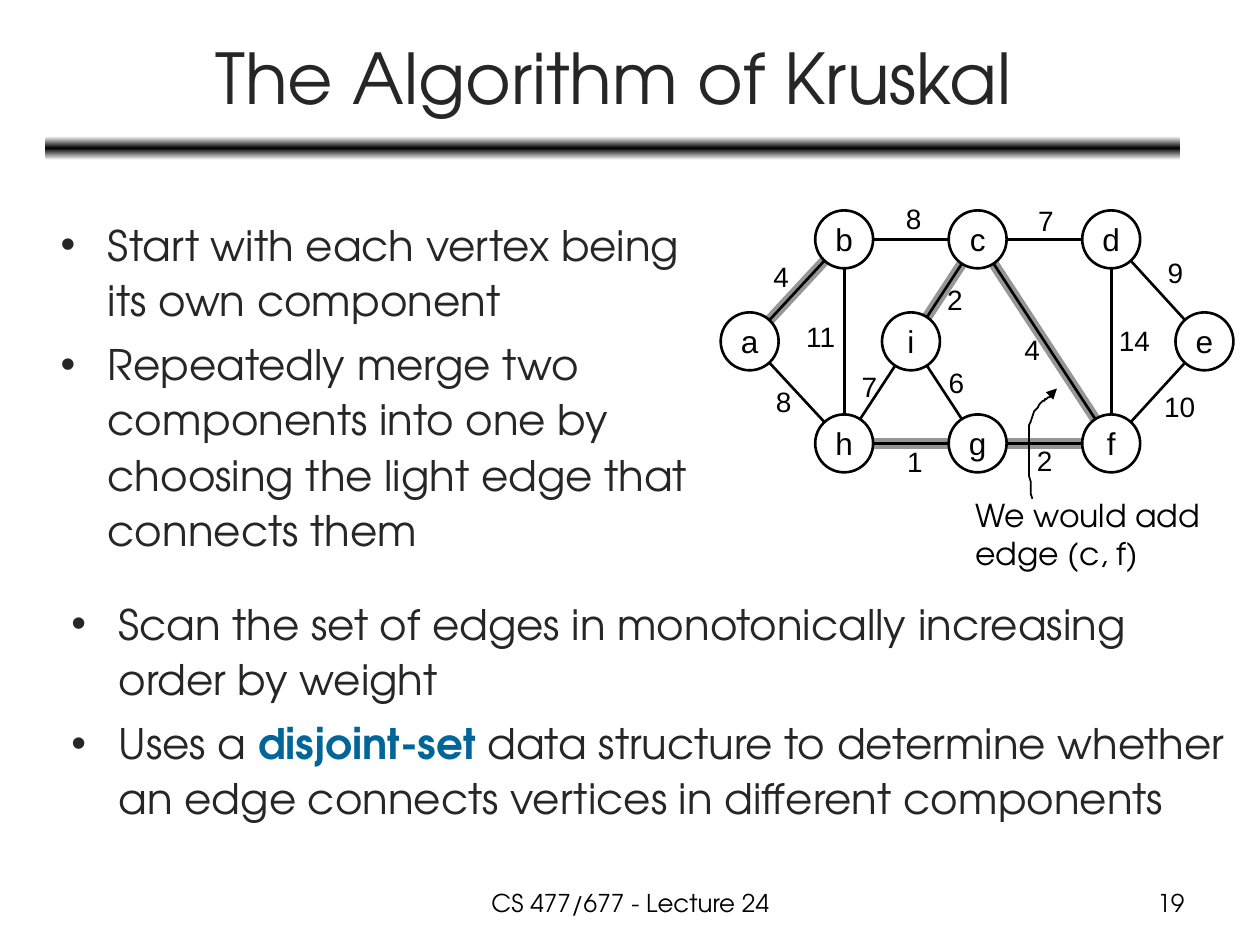
from copy import deepcopy
from math import hypot

from lxml.etree import SubElement as Sub
from pptx import Presentation
from pptx.dml.color import RGBColor
from pptx.enum.shapes import MSO_CONNECTOR as Conn, MSO_SHAPE as Kind
from pptx.enum.text import MSO_ANCHOR as Anchor, MSO_AUTO_SIZE as Auto, PP_ALIGN as Align
from pptx.oxml.ns import qn
from pptx.util import Pt

BLACK = RGBColor(0, 0, 0)
WHITE = RGBColor(255, 255, 255)
DARK = RGBColor(0x26, 0x26, 0x26)
GREY = RGBColor(0x96, 0x96, 0x96)
BLUE = RGBColor(0, 0x66, 0x99)
SANS, ROUND = "Arial", "TeX Gyre Adventor"

RAD = 16.56
TOP, MID, LOW = 136.8, 195.1, 253.4
NODES = {
    "a": (428.4, MID), "b": (482.4, TOP), "c": (558.7, TOP),
    "d": (635, TOP), "e": (688.3, MID), "h": (482.4, LOW),
    "g": (558.7, LOW), "f": (635, LOW), "i": (520.6, MID),
}
EDGES = [
    ("ab", "4", 434.9, 144.7), ("bc", "8", 510.5, 111.6),
    ("cd", "7", 586.1, 113), ("ah", "8", 436.3, 216),
    ("bh", "11", 453.6, 179.3), ("hg", "1", 511.2, 250.6),
    ("gf", "2", 585.4, 249.8), ("hi", "7", 485.3, 207.4),
    ("ci", "2", 534.2, 157.7), ("cf", "4", 578.2, 186.5),
    ("df", "14", 632.2, 181.4), ("de", "9", 660.2, 142.6),
    ("ef", "10", 658.1, 218.9), ("ig", "6", 535, 205.2),
]
LIGHT = ("cf", "ab", "hg", "gf", "ci")
START = (589.7, 285.1)
CURVES = [
    ((589, 277.9), (588.2, 271.4), (587.5, 264.2)),
    ((587.5, 259.2), (587.5, 254.2), (587.5, 248.4)),
    ((588.2, 241.9), (591.1, 233.3), (596.2, 229)),
    ((597.6, 228.2), (598.3, 227.5), (599.8, 226.8)),
    ((601.9, 224.6), (600.5, 225.4), (603.4, 224.6)),
    ((603.4, 223.9), (604.1, 222.5), (604.1, 222.5)),
]
LEFT = [
    [("Start with each vertex being its own component", {})],
    [("Repeatedly merge two components into one by choosing "
      "the light edge that connects them", {})],
]
WIDE = [
    [("Scan the set of edges in monotonically increasing order by weight", {})],
    [("Uses a ", {}), ("disjoint-set ", {"bold": True, "color": BLUE}),
     ("data structure to determine whether an edge connects vertices "
      "in different components", {})],
]


def apply(obj, vals):
    """Set each attribute of an object from a dict."""
    for key, val in vals.items():
        setattr(obj, key, val)


def place(shape, x, y, w, h):
    """Move and size a shape."""
    apply(shape, {"left": Pt(x), "top": Pt(y), "width": Pt(w), "height": Pt(h)})


def add_run(para, text, size, face, color=BLACK, bold=False):
    """Add a formatted run to a paragraph."""
    run = para.add_run()
    run.text = text
    apply(run.font, {"size": Pt(size), "name": face, "bold": bold})
    run.font.color.rgb = color


def write(shape, lines, size, face, color=BLACK, align=Align.LEFT,
          wrap=True, anchor=Anchor.TOP):
    """Fill a shape with plain lines of text."""
    frame = shape.text_frame
    apply(frame, {"auto_size": Auto.NONE, "word_wrap": wrap, "vertical_anchor": anchor})
    for num, line in enumerate(lines):
        para = frame.add_paragraph() if num else frame.paragraphs[0]
        para.alignment = align
        add_run(para, line, size, face, color)


def label(slide, lines, box, size, face, **style):
    """Add a text box."""
    pts = [Pt(val) for val in box]
    write(slide.shapes.add_textbox(*pts), lines, size, face, **style)


def bullets(shape, items):
    """Fill a shape with a bulleted list."""
    frame = shape.text_frame
    apply(frame, {"auto_size": Auto.NONE, "word_wrap": True})
    for num, runs in enumerate(items):
        para = frame.add_paragraph() if num else frame.paragraphs[0]
        props = para._p.get_or_add_pPr()
        props.set("marL", str(Pt(27)))
        props.set("indent", str(Pt(-27)))
        Sub(props, qn("a:buFont"), typeface=SANS)
        Sub(props, qn("a:buChar"), char="•")
        apply(para, {"line_spacing": 1.1, "space_before": Pt(4.8 if num else 0)})
        for text, style in runs:
            add_run(para, text, 24, ROUND, **{"color": DARK, **style})


def add_bar(slide):
    """Add the shaded rule below the title."""
    bar = slide.shapes.add_shape(Kind.ROUNDED_RECTANGLE, Pt(25.9), Pt(77.8), Pt(648.7), Pt(13.7))
    bar.shadow.inherit = False
    bar.line.fill.background()
    bar.fill.gradient()
    bar.fill.gradient_angle = 90
    stops = bar._element.spPr.find(".//" + qn("a:gsLst"))
    stops.append(deepcopy(stops[0]))
    for stop, pos, color in zip(bar.fill.gradient_stops, (0, 0.5, 1), (WHITE, BLACK, WHITE)):
        stop.position = pos
        stop.color.rgb = color


def add_edge(slide, pair, color, width):
    """Join the rims of two nodes with a line."""
    (x1, y1), (x2, y2) = (NODES[name] for name in pair)
    part = RAD / hypot(x2 - x1, y2 - y1)
    dx, dy = (x2 - x1) * part, (y2 - y1) * part
    ends = [Pt(val) for val in (x1 + dx, y1 + dy, x2 - dx, y2 - dy)]
    edge = slide.shapes.add_connector(Conn.STRAIGHT, *ends)
    edge.line.color.rgb = color
    edge.line.width = Pt(width)
    Sub(edge._element.spPr, qn("a:effectLst"))


def add_node(slide, name):
    """Add a named circle of the graph."""
    x, y = NODES[name]
    node = slide.shapes.add_shape(Kind.OVAL, 0, 0, 0, 0)
    place(node, x - RAD, y - RAD, 2 * RAD, 2 * RAD)
    node.shadow.inherit = False
    node.fill.background()
    node.line.color.rgb = BLACK
    node.line.width = Pt(1.5)
    write(node, [name], 18, SANS, align=Align.CENTER, wrap=False, anchor=Anchor.MIDDLE)


def bend(start, curves, steps=8):
    """Return points along a chain of cubic curves."""
    pts = []
    for one, two, end in curves:
        for num in range(1, steps + 1):
            t = num / steps
            u = 1 - t
            pts.append(tuple(u**3 * p + 3 * u * u * t * q + 3 * u * t * t * r + t**3 * s
                             for p, q, r, s in zip(start, one, two, end)))
        start = end
    return pts


def add_arrow(slide):
    """Add the curved arrow from the note to its edge."""
    form = slide.shapes.build_freeform(*START, scale=Pt(1))
    form.add_line_segments(bend(START, CURVES), close=False)
    arrow = form.convert_to_shape()
    arrow.shadow.inherit = False
    arrow.fill.background()
    arrow.line.color.rgb = BLACK
    arrow.line.width = Pt(1)
    Sub(arrow.line._get_or_add_ln(), qn("a:tailEnd"), type="triangle")


def add_graph(slide):
    """Add the weighted graph with its light edges."""
    for pair in LIGHT:
        add_edge(slide, pair, GREY, 6)
    for name in NODES:
        add_node(slide, name)
    for pair, cost, x, y in EDGES:
        add_edge(slide, pair, BLACK, 1.5)
        wide = 23 if len(cost) == 1 else 32.4
        label(slide, [cost], (x, y, wide, 26.6), 16, SANS, wrap=False)


def main():
    """Build the slide and save it."""
    deck = Presentation()
    apply(deck, {"slide_width": Pt(720), "slide_height": Pt(540)})
    slide = deck.slides.add_slide(deck.slide_layouts[1])
    title, body = slide.placeholders
    add_bar(slide)
    add_graph(slide)
    label(slide, ["We would add", "edge (c, f)"], (550.1, 280.1, 145.4, 51.1),
          18, ROUND, wrap=False)
    add_arrow(slide)
    place(title, 26.6, 7.9, 648, 71.3)
    write(title, ["The Algorithm of Kruskal"], 40, ROUND, color=DARK,
          align=Align.CENTER, anchor=Anchor.MIDDLE)
    place(body, 27.4, 118.8, 395.3, 273.6)
    bullets(body, LEFT)
    bullets(slide.shapes.add_textbox(Pt(33.8), Pt(335.5), Pt(681.1), Pt(153.4)), WIDE)
    label(slide, ["CS 477/677 - Lecture 24"], (246.2, 504, 228.2, 25.2),
          14, ROUND, align=Align.CENTER)
    label(slide, ["19"], (516.2, 504, 167.8, 25.2), 14, ROUND, align=Align.RIGHT)
    deck.save("out.pptx")


if __name__ == "__main__":
    main()
